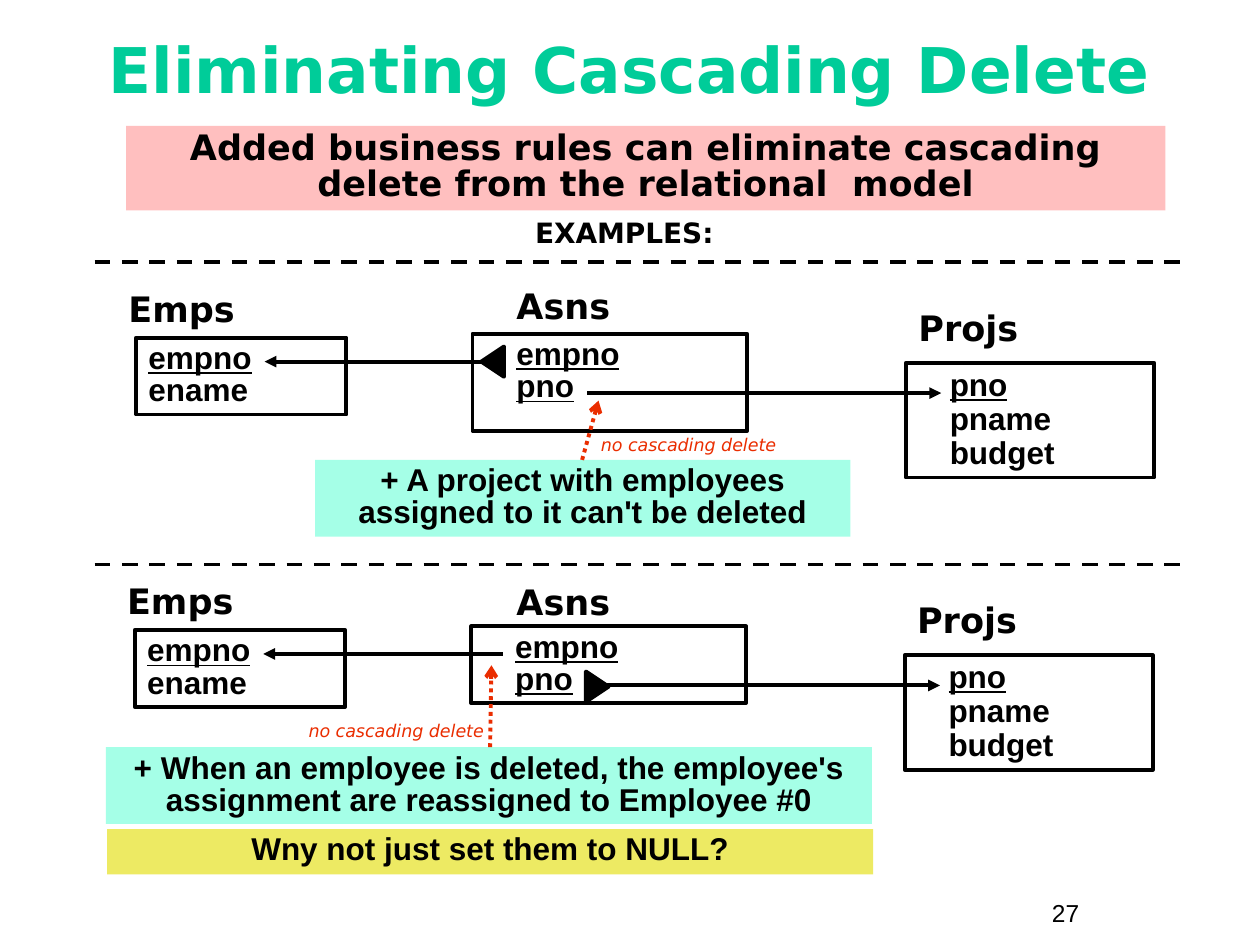
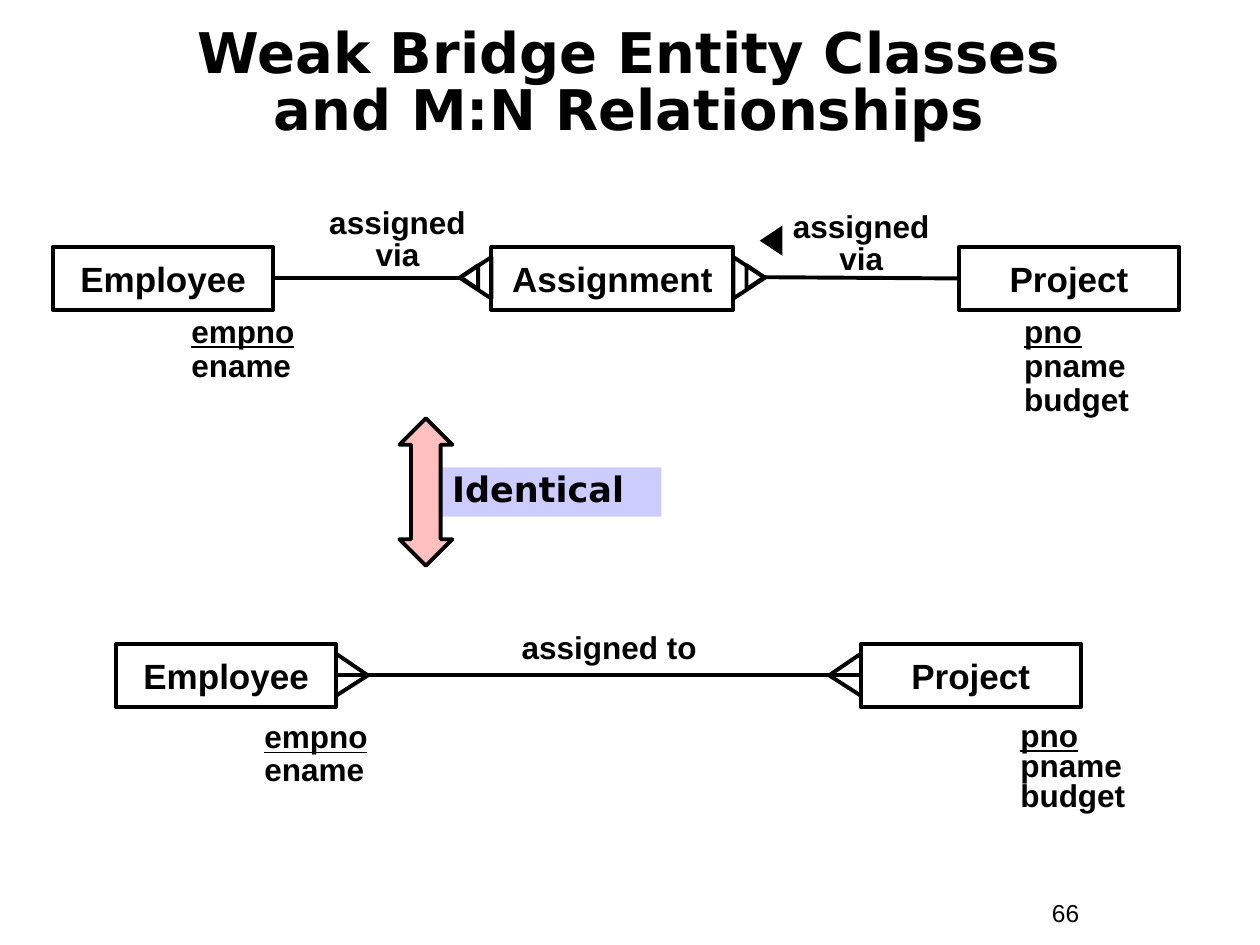
from dataclasses import dataclass
from typing import NamedTuple

from lxml.etree import SubElement
from pptx import Presentation
from pptx.dml.color import RGBColor as Rgb
from pptx.enum.dml import MSO_LINE_DASH_STYLE as Dash
from pptx.enum.shapes import MSO_CONNECTOR as Link, MSO_SHAPE as Kind
from pptx.enum.text import MSO_ANCHOR as Anchor, PP_ALIGN as Align
from pptx.oxml.ns import qn
from pptx.util import Emu, Pt

SCALE = 9144  # 100 px to the inch


@dataclass(frozen=True)
class Theme:
    ink: str = "000000"
    green: str = "00CC99"
    red: str = "EA2D00"
    pink: str = "FFBFBF"
    mint: str = "A5FFE7"
    gold: str = "EDEA63"
    lilac: str = "CCCCFF"
    sans: str = "Arial"
    wide: str = "DejaVu Sans"
    title: int = 36
    small_title: int = 32
    head: int = 20
    sub: int = 16
    body: int = 18
    page: int = 14
    note: int = 10
    stroke: float = 2.25


T = Theme()


class Box(NamedTuple):
    x: int
    y: int
    w: int
    h: int


class Scheme(NamedTuple):
    x: int
    y: int
    asn_top: int
    asn_high: int
    many: Box
    turn: int


class Entity(NamedTuple):
    name: str
    x: int
    y: int
    w: int


class Fields(NamedTuple):
    lines: tuple[str, ...]
    x: int
    y: int
    space: float


EMP = ("empno", "ename")
PROJ = ("pno", "pname", "budget")

SCHEMES = (
    Scheme(108, 268, 221, 77, Box(379, 278, 24, 18), 270),
    Scheme(107, 500, 456, 61, Box(462, 536, 24, 18), 90),
)
ENTITIES = (
    Entity("Employee", 42, 196, 175),
    Entity("Assignment", 390, 196, 192),
    Entity("Project", 761, 196, 175),
    Entity("Employee", 92, 511, 175),
    Entity("Project", 683, 511, 175),
)
FIELDS = (
    Fields(EMP, 142, 246, 0.9),
    Fields(PROJ, 803, 246, 0.9),
    Fields(EMP, 200, 569, 0.85),
    Fields(PROJ, 800, 569, 0.8),
)


def px(n: int) -> Emu:
    return Emu(n * SCALE)


# Shapes and lines
def form(slide, box: Box, kind=Kind.RECTANGLE, fill: str = "",
         edge: bool = False, turn: int = 0):
    shape = slide.shapes.add_shape(kind, *map(px, box))
    shape.shadow.inherit = False
    shape.rotation = turn
    if fill:
        shape.fill.solid()
        shape.fill.fore_color.rgb = Rgb.from_string(fill)
    else:
        shape.fill.background()
    if edge:
        shape.line.color.rgb = Rgb.from_string(T.ink)
        shape.line.width = Pt(T.stroke)
    else:
        shape.line.fill.background()
    return shape


def rule(slide, x1: int, y1: int, x2: int, y2: int, color: str = T.ink,
         dash=None, head: str = "") -> None:
    line = slide.shapes.add_connector(Link.STRAIGHT, px(x1), px(y1), px(x2), px(y2))
    line.line.color.rgb = Rgb.from_string(color)
    line.line.width = Pt(T.stroke)
    if dash:
        line.line.dash_style = dash
    if head:
        SubElement(line.line._get_or_add_ln(), qn("a:tailEnd"), type=head)
    SubElement(line._element.spPr, qn("a:effectLst"))


# Text, in a plain box or on a shape
def write(slide, text: str, box: Box, *, size: int = T.body, font: str = T.sans,
          color: str = T.ink, bold: bool = True, slant: bool = False,
          align=Align.LEFT, anchor=Anchor.TOP, space: float = 1.0,
          indent: int = 0, fill: str = "", edge: bool = False,
          keys: int = 0) -> None:
    if fill or edge:
        shape = form(slide, box, fill=fill, edge=edge)
    else:
        shape = slide.shapes.add_textbox(*map(px, box))
    frame = shape.text_frame
    frame.word_wrap = True
    frame.vertical_anchor = anchor
    frame.text = text
    for i, para in enumerate(frame.paragraphs):
        para.alignment = align
        para.line_spacing = space
        if indent:
            para._p.get_or_add_pPr().set("marL", str(px(indent)))
        for run in para.runs:
            run.font.size = Pt(size)
            run.font.name = font
            run.font.bold = bold
            run.font.italic = slant
            run.font.underline = i < keys
            run.font.color.rgb = Rgb.from_string(color)


def start(deck, title: str, box: Box, page: int, **style):
    slide = deck.slides.add_slide(deck.slide_layouts[6])
    write(slide, title, box, font=T.wide, align=Align.CENTER,
          anchor=Anchor.MIDDLE, **style)
    write(slide, str(page), Box(825, 708, 92, 34), size=T.page, bold=False)
    return slide


def band(slide, text: str, box: Box, fill: str, **style) -> None:
    write(slide, text, box, fill=fill, align=Align.CENTER, space=0.85, **style)


def table(slide, name: str, spot: tuple[int, int], lines: tuple[str, ...],
          box: Box, **style) -> None:
    write(slide, name, Box(*spot, 215, 44), size=T.head, font=T.wide)
    write(slide, "\n".join(lines), box, edge=True, **style)


# Three linked tables
def draw(slide, s: Scheme) -> None:
    x, y = s.x, s.y
    table(slide, "Emps", (x - 16, y - 45), EMP, Box(x, y, 167, 61),
          space=0.85, keys=1)
    table(slide, "Asns", (400, s.asn_top), ("empno", "pno"),
          Box(x + 267, y - 3, 218, s.asn_high), space=0.85, indent=25, keys=2)
    table(slide, "Projs", (x + 611, y - 30), PROJ, Box(x + 611, y + 20, 197, 91),
          space=0.9, indent=25, keys=1)
    rule(slide, x + 292, y + 19, x + 102, y + 19, head="triangle")
    rule(slide, x + 358, y + 44, x + 639, y + 44, head="triangle")
    form(slide, s.many, Kind.ISOSCELES_TRIANGLE, T.ink, True, s.turn)


def cascade(deck) -> None:
    slide = start(deck, "Eliminating Cascading Delete", Box(33, 8, 933, 92), 27,
                  size=T.title, color=T.green)
    band(slide, "Added business rules can eliminate cascading delete from the relational  model",
         Box(100, 100, 825, 67), T.pink, size=T.head, font=T.wide)
    write(slide, "EXAMPLES:", Box(258, 170, 475, 33), size=T.sub, font=T.wide,
          align=Align.CENTER, space=0.85)
    for y in (208, 448):
        rule(slide, 75, y, 942, y, dash=Dash.DASH)
    for scheme in SCHEMES:
        draw(slide, scheme)

    # Rules that stop the cascade
    band(slide, "+ A project with employees assigned to it can't be deleted",
         Box(250, 365, 425, 61), T.mint)
    band(slide, "+ When an employee is deleted, the employee's assignment are reassigned to Employee #0",
         Box(84, 593, 608, 61), T.mint)
    band(slide, "Wny not just set them to NULL?", Box(85, 658, 608, 36), T.gold)
    for ends in ((462, 365, 475, 318), (389, 593, 390, 528)):
        rule(slide, *ends, color=T.red, dash=Dash.ROUND_DOT, head="arrow")
    for x, y in ((467, 342), (235, 569)):
        write(slide, "no cascading delete", Box(x, y, 192, 24), size=T.note,
              font=T.wide, color=T.red, bold=False, slant=True, space=0.85)


def bridge(deck) -> None:
    slide = start(deck, "Weak Bridge Entity Classes\vand M:N Relationships",
                  Box(33, 30, 933, 75), 66, size=T.small_title, space=0.85)

    # Entities and their fields
    for e in ENTITIES:
        write(slide, e.name, Box(e.x, e.y, e.w, 50), size=T.head, edge=True,
              align=Align.CENTER, anchor=Anchor.MIDDLE)
    for f in FIELDS:
        write(slide, "\n".join(f.lines), Box(f.x, f.y, 167, 91),
              space=f.space, keys=1)

    # Links through the bridge
    rule(slide, 218, 221, 365, 221)
    rule(slide, 760, 221, 607, 220)
    for label, box in (("assigned via", Box(249, 161, 133, 61)),
                       ("assigned via", Box(617, 164, 133, 61)),
                       ("assigned to", Box(400, 498, 167, 36))):
        write(slide, label, box, align=Align.CENTER, space=0.85)
    form(slide, Box(600, 182, 24, 18), Kind.ISOSCELES_TRIANGLE, T.ink, turn=270)
    for big, small, turn in ((361, 363, 270), (578, 590, 90)):
        for box in (Box(big, 208, 33, 25), Box(small, 213, 19, 14)):
            form(slide, box, Kind.ISOSCELES_TRIANGLE, edge=True, turn=turn)

    # Direct link with crow's feet
    rule(slide, 268, 536, 682, 536)
    for tip, foot in ((292, 267), (658, 683)):
        for y in (519, 552):
            rule(slide, tip, 536, foot, y)

    # Both models match
    write(slide, "Identical", Box(349, 371, 176, 39), size=T.head, font=T.wide,
          fill=T.lilac, space=0.85)
    arrow = form(slide, Box(317, 332, 42, 117), Kind.UP_DOWN_ARROW, T.pink, True)
    arrow.adjustments[0] = 0.5
    arrow.adjustments[1] = 0.56


def main() -> None:
    deck = Presentation()
    deck.slide_width, deck.slide_height = px(1000), px(750)
    cascade(deck)
    bridge(deck)
    deck.save("out.pptx")


if __name__ == "__main__":
    main()
